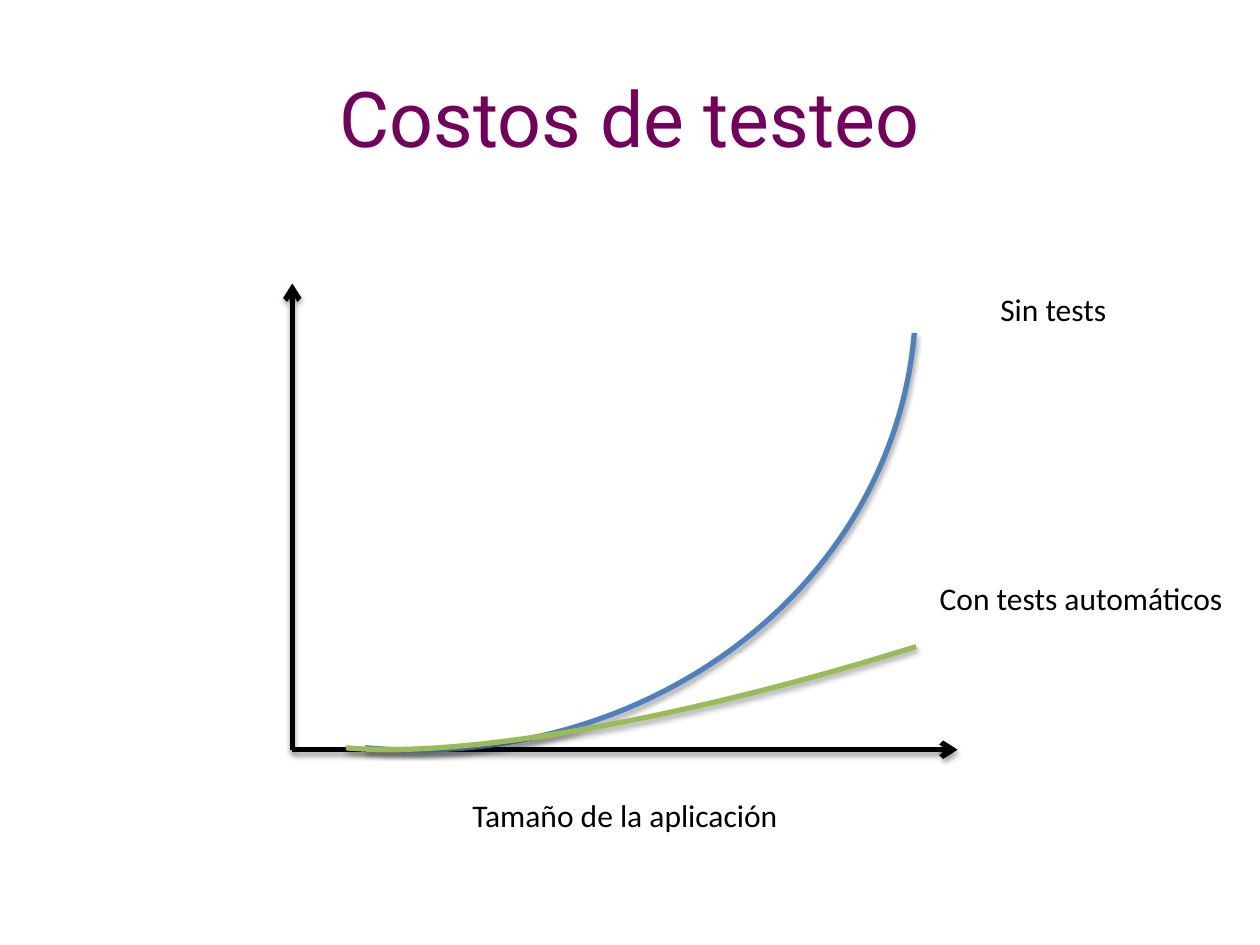
from lxml import etree
from pptx import Presentation
from pptx.dml.color import RGBColor
from pptx.enum import shapes, text
from pptx.oxml import ns
from pptx.util import Inches, Pt


def color(hex_code):
    return RGBColor.from_string(hex_code)


def add_child(parent, tag, **attributes):
    return etree.SubElement(parent, ns.qn(tag), attributes)


class CurveSlide:
    INK = "000000"
    LINE_WIDTH = Pt(3)

    def __init__(self, deck):
        self.page = deck.slides.add_slide(deck.slide_layouts[6])

    def label(self, words, left, top, width, height=0.4, size=18, font="Calibri",
              ink=INK, centered=False, wrap=False, middle=False):
        box = self.page.shapes.add_textbox(
            Inches(left), Inches(top), Inches(width), Inches(height))
        frame = box.text_frame
        frame.text = words
        frame.word_wrap = wrap
        if middle:
            frame.vertical_anchor = text.MSO_ANCHOR.MIDDLE
        else:
            frame.auto_size = text.MSO_AUTO_SIZE.SHAPE_TO_FIT_TEXT
        para = frame.paragraphs[0]
        para.alignment = text.PP_ALIGN.CENTER if centered else text.PP_ALIGN.LEFT
        span = para.runs[0]
        span.font.size = Pt(size)
        span.font.name = font
        span.font.color.rgb = color(ink)

    def stroke(self, shape, ink):
        """Give a line or curve its colour, width and soft shadow."""
        shape.line.color.rgb = color(ink)
        shape.line.width = self.LINE_WIDTH
        effects = add_child(shape._element.spPr, "a:effectLst")
        shadow = add_child(effects, "a:outerShdw", blurRad=str(Pt(3.1)),
                           dist=str(Pt(1.8)), dir="5400000", rotWithShape="0")
        tint = add_child(shadow, "a:srgbClr", val=self.INK)
        add_child(tint, "a:alpha", val="35000")

    def axis(self, start, end):
        line = self.page.shapes.add_connector(
            shapes.MSO_CONNECTOR.STRAIGHT,
            *(Inches(value) for value in (*start, *end)))
        self.stroke(line, self.INK)
        add_child(line.line._get_or_add_ln(), "a:tailEnd", type="arrow")

    def curve(self, left, top, width, height, rotation, end_angle, ink):
        """Draw an arc from the top of its ellipse to end_angle, then turn it."""
        arc = self.page.shapes.add_shape(
            shapes.MSO_SHAPE.ARC, Inches(left), Inches(top),
            Inches(width), Inches(height))
        arc.adjustments[0] = 270 * 0.6
        arc.adjustments[1] = end_angle * 0.6
        arc.rotation = rotation
        arc.fill.background()
        self.stroke(arc, ink)


def main():
    deck = Presentation()
    deck.slide_width, deck.slide_height = Inches(10), Inches(7.5)
    slide = CurveSlide(deck)

    slide.label("Costos de testeo", 0.5, 0.3, 9, 1.25, size=44, font="Roboto",
                ink="73005A", centered=True, wrap=True, middle=True)

    origin = (2.32, 5.95)
    slide.axis(origin, (origin[0], 2.25))
    slide.axis(origin, (7.6, origin[1]))

    slide.curve(-0.41, -1.73, 7.29, 8.07, 94.8, 0.51, "4F81BD")
    slide.curve(1.86, 3.06, 10.19, 2.12, 162.6, 354.07, "9BBB59")

    slide.label("Sin tests", 7.84, 2.25, 1.05)
    slide.label("Con tests automáticos", 7.36, 4.55, 2.47)
    slide.label("Tamaño de la aplicación", 3.58, 6.27, 2.76, centered=True, wrap=True)

    deck.save("out.pptx")


if __name__ == "__main__":
    main()
